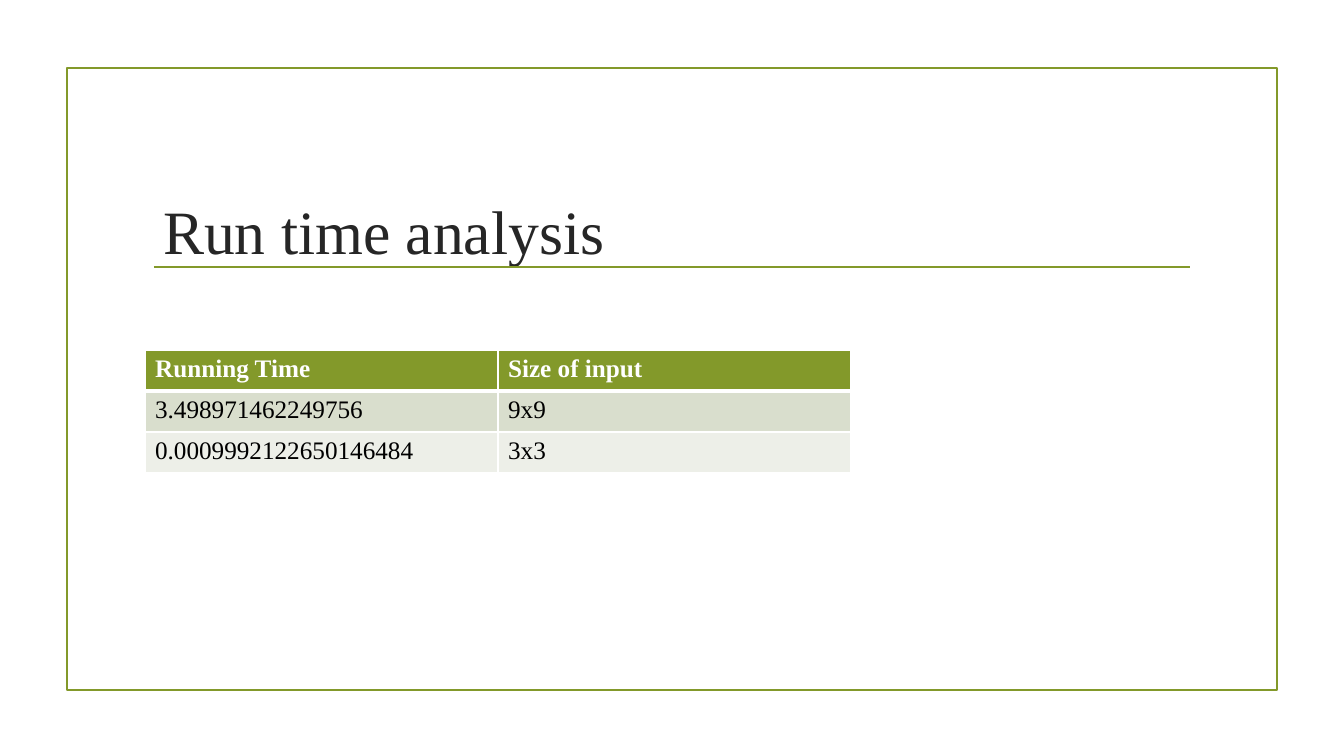
"""Builds the run time analysis slide: a framed title above a table of timings."""
from dataclasses import dataclass

from lxml.etree import SubElement
from pptx import Presentation
from pptx.dml.color import RGBColor
from pptx.enum.shapes import MSO_CONNECTOR, MSO_SHAPE
from pptx.enum.text import MSO_ANCHOR, PP_ALIGN
from pptx.oxml.ns import qn
from pptx.util import Pt

TITLE = "Run time analysis"
TIMINGS = [
    ("Running Time", "Size of input"),
    ("3.498971462249756", "9x9"),
    ("0.0009992122650146484", "3x3"),
]

PAGE_SIZE = (1344, 756)
FRAME = (67, 68, 1210, 622)
RULE = (154, 267, 1190, 267)
TITLE_BOX = (-145, 158, 1058, 144)
TABLE_ORIGIN = (145, 350)
COLUMN_WIDTH, ROW_HEIGHT = 353, 41
EMU_PER_PX = 914400 / 100.8


@dataclass(frozen=True)
class Theme:
    font: str = "Times New Roman"
    accent: str = "83992A"
    title: str = "262626"
    header_text: str = "FFFFFF"
    body_text: str = "000000"
    grid: str = "FFFFFF"
    bands: tuple = ("D9DECD", "EDEFE8")
    title_size: int = 44
    table_size: int = 18
    line_width: float = 1.25
    grid_width: int = 1
    header_width: int = 3


THEME = Theme()


def px(*lengths):
    return [round(length * EMU_PER_PX) for length in lengths]


def color(code):
    return RGBColor.from_string(code)


def style_text(para, size, code, bold=False):
    font = para.font
    font.name, font.size, font.bold = THEME.font, Pt(size), bold
    font.color.rgb = color(code)


def style_line(shape):
    shape.line.color.rgb = color(THEME.accent)
    shape.line.width = Pt(THEME.line_width)


def add_title(page):
    box = page.shapes.title
    box.left, box.top, box.width, box.height = px(*TITLE_BOX)
    box.text_frame.text = TITLE
    box.text_frame.vertical_anchor = MSO_ANCHOR.MIDDLE
    para = box.text_frame.paragraphs[0]
    para.alignment = PP_ALIGN.CENTER
    style_text(para, THEME.title_size, THEME.title)


def add_frame(page):
    frame = page.shapes.add_shape(MSO_SHAPE.RECTANGLE, *px(*FRAME))
    frame.shadow.inherit = False
    frame.fill.background()
    style_line(frame)
    rule = page.shapes.add_connector(MSO_CONNECTOR.STRAIGHT, *px(*RULE))
    style_line(rule)
    SubElement(rule._element.spPr, qn("a:effectLst"))


def add_borders(cell, top, bottom):
    properties = cell._tc.get_or_add_tcPr()
    widths = {"L": THEME.grid_width, "R": THEME.grid_width, "T": top, "B": bottom}
    for side, width in widths.items():
        border = SubElement(properties, qn(f"a:ln{side}"), w=str(Pt(width)))
        fill = SubElement(border, qn("a:solidFill"))
        SubElement(fill, qn("a:srgbClr"), val=THEME.grid)


def add_timings(page):
    rows, columns = len(TIMINGS), len(TIMINGS[0])
    size = (columns * COLUMN_WIDTH, rows * ROW_HEIGHT)
    table = page.shapes.add_table(rows, columns, *px(*TABLE_ORIGIN, *size)).table
    for row, values in enumerate(TIMINGS):
        header = row == 0
        fill = THEME.accent if header else THEME.bands[(row - 1) % 2]
        ink = THEME.header_text if header else THEME.body_text
        top = THEME.header_width if row == 1 else THEME.grid_width
        bottom = THEME.header_width if header else THEME.grid_width
        for column, value in enumerate(values):
            cell = table.cell(row, column)
            cell.text = value
            style_text(cell.text_frame.paragraphs[0], THEME.table_size, ink, header)
            add_borders(cell, top, bottom)
            cell.fill.solid()
            cell.fill.fore_color.rgb = color(fill)


def main():
    deck = Presentation()
    deck.slide_width, deck.slide_height = px(*PAGE_SIZE)
    page = deck.slides.add_slide(deck.slide_layouts[5])
    add_frame(page)
    add_title(page)
    add_timings(page)
    deck.save("out.pptx")


if __name__ == "__main__":
    main()
